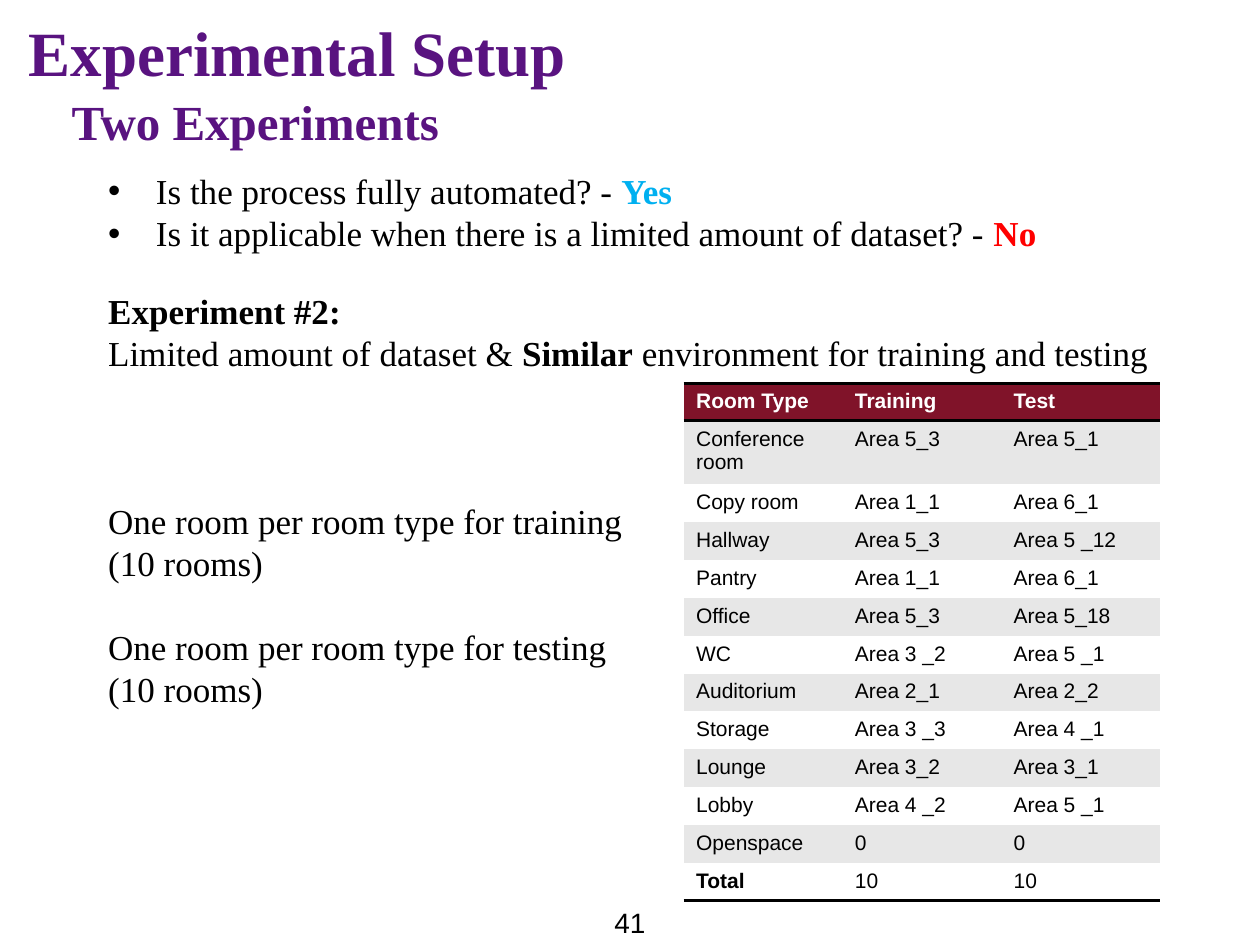
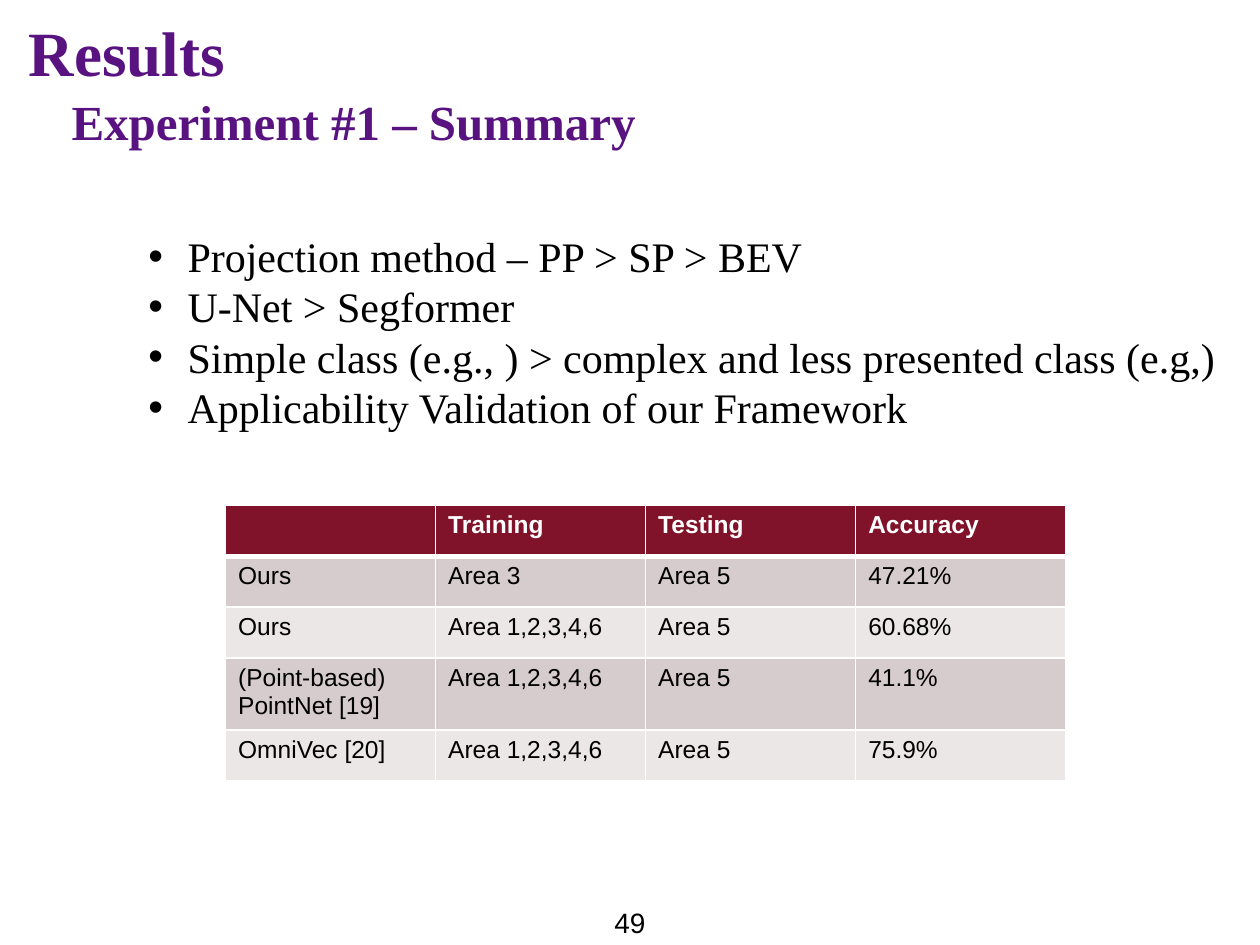
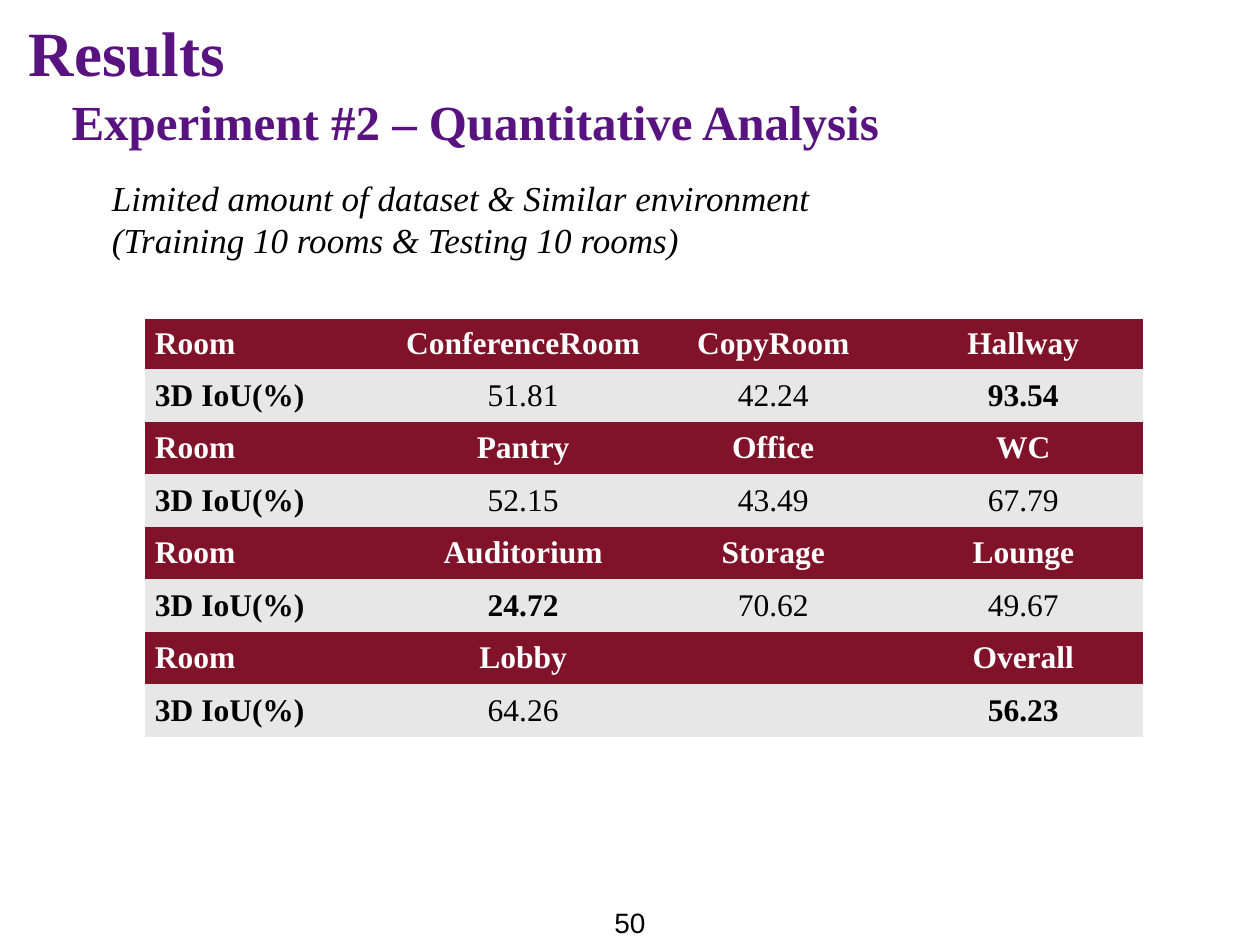
from dataclasses import dataclass

from pptx import Presentation
from pptx.dml.color import RGBColor
from pptx.enum.text import MSO_ANCHOR, PP_ALIGN
from pptx.oxml.ns import qn
from pptx.slide import Slide
from pptx.table import _Cell
from pptx.text.text import TextFrame
from pptx.util import Inches, Pt
from lxml import etree

LEFT, CENTER = PP_ALIGN.LEFT, PP_ALIGN.CENTER
TOP, MIDDLE = MSO_ANCHOR.TOP, MSO_ANCHOR.MIDDLE

SLIDE_WIDTH, SLIDE_HEIGHT = Inches(10), Inches(7.5)
GRID_COLUMNS, GRID_ROWS = 100, 75
SERIF, SANS = "Times New Roman", "Arial"
PLAIN_TABLE_STYLE = "{2D5ABB26-0587-4C30-8999-92F81FD0307C}"
COLORS = {
    "purple": "591380",
    "maroon": "801329",
    "ink": "000000",
    "white": "FFFFFF",
    "gray": "E7E7E7",
    "rose": "D7CCCD",
    "pale rose": "ECE7E7",
    "yes": "00B0F0",
    "no": "FF0000",
}


@dataclass(frozen=True)
class Area:
    column: float
    row: float
    columns: float
    rows: float


@dataclass(frozen=True)
class Run:
    text: str
    bold: bool = False
    color: str | None = None


@dataclass(frozen=True)
class Line:
    runs: tuple[Run, ...]
    space_before: float = 0


@dataclass(frozen=True)
class TableStyle:
    font: str
    size: float
    bands: tuple[str, str]
    align: PP_ALIGN = LEFT
    anchor: MSO_ANCHOR = TOP
    margins: tuple[float, float, float, float] = (0.1, 0.05, 0.1, 0.05)


@dataclass(frozen=True)
class Border:
    sides: str
    color: str
    width: float


TITLE_AREA = Area(1.3, 0.6, 87.4, 5.8)
SUBTITLE_AREA = Area(4.7, 6.8, 87.4, 5.8)
PAGE_AREA = Area(43.7, 71.4, 12.6, 3.6)


def x(columns: float) -> int:
    return round(SLIDE_WIDTH * columns / GRID_COLUMNS)


def y(rows: float) -> int:
    return round(SLIDE_HEIGHT * rows / GRID_ROWS)


def rgb(name: str) -> RGBColor:
    return RGBColor.from_string(COLORS[name])


def plain(text: str, space_before: float = 0) -> Line:
    return Line((Run(text),), space_before)


def write(frame: TextFrame, lines: list[Line], *, font: str = SERIF,
          size: float = 20, color: str = "ink", bold: bool = False,
          italic: bool = False, align: PP_ALIGN = LEFT,
          bullet_indent: float = 0) -> None:
    frame.word_wrap = True
    for index, line in enumerate(lines):
        paragraph = frame.paragraphs[0] if index == 0 else frame.add_paragraph()
        paragraph.alignment = align
        if line.space_before:
            paragraph.space_before = Pt(line.space_before)
        if bullet_indent:
            properties = paragraph._p.get_or_add_pPr()
            properties.set("marL", str(Inches(bullet_indent)))
            properties.set("indent", str(-Inches(bullet_indent)))
            etree.SubElement(properties, qn("a:buFont"), typeface=SANS)
            etree.SubElement(properties, qn("a:buChar"), char="•")
        for part in line.runs:
            run = paragraph.add_run()
            run.text = part.text
            run.font.name = font
            run.font.size = Pt(size)
            run.font.bold = bold or part.bold
            run.font.italic = italic
            run.font.color.rgb = rgb(part.color or color)


def add_text(slide: Slide, area: Area, lines: list[Line], **text_format) -> None:
    box = slide.shapes.add_textbox(x(area.column), y(area.row),
                                   x(area.columns), y(area.rows))
    write(box.text_frame, lines, **text_format)


def add_page(deck: Presentation, title: str, subtitle: str, number: int) -> Slide:
    slide = deck.slides.add_slide(deck.slide_layouts[6])
    add_text(slide, PAGE_AREA, [plain(str(number))], font=SANS, size=16, align=CENTER)
    add_text(slide, TITLE_AREA, [plain(title)], size=36, color="purple", bold=True)
    add_text(slide, SUBTITLE_AREA, [plain(subtitle)], size=28, color="purple", bold=True)
    return slide


def draw_borders(cell: _Cell, borders: list[Border]) -> None:
    properties = cell._tc.get_or_add_tcPr()
    for side in "LRTB":
        for border in borders:
            if side in border.sides:
                edge = etree.SubElement(properties, qn(f"a:ln{side}"),
                                        w=str(Pt(border.width)))
                fill = etree.SubElement(edge, qn("a:solidFill"))
                etree.SubElement(fill, qn("a:srgbClr"), val=COLORS[border.color])


def add_table(slide: Slide, column: float, row: float, widths: list[float],
              heights: list[float], records: list[tuple[str, ...]],
              style: TableStyle, *, header_rows: set[int],
              bold_texts: set[str],
              borders: dict[int, list[Border]]) -> None:
    frame = slide.shapes.add_table(len(records), len(widths), x(column), y(row),
                                   x(sum(widths)), y(sum(heights)))
    table = frame.table
    table.first_row = table.horz_banding = False
    table._tbl.tblPr.find(qn("a:tableStyleId")).text = PLAIN_TABLE_STYLE
    for table_column, width in zip(table.columns, widths):
        table_column.width = x(width)
    for table_row, height in zip(table.rows, heights):
        table_row.height = y(height)
    for row_index, record in enumerate(records):
        is_header = row_index in header_rows
        background = "maroon" if is_header else style.bands[(row_index + 1) % 2]
        for column_index, text in enumerate(record):
            cell = table.cell(row_index, column_index)
            draw_borders(cell, borders.get(row_index, []))
            cell.fill.solid()
            cell.fill.fore_color.rgb = rgb(background)
            cell.vertical_anchor = style.anchor
            (cell.margin_left, cell.margin_top,
             cell.margin_right, cell.margin_bottom) = map(Inches, style.margins)
            if text:
                write(cell.text_frame, [plain(text)], font=style.font,
                      size=style.size, color="white" if is_header else "ink",
                      bold=is_header or text in bold_texts,
                      align=style.align if column_index else LEFT)


def build_setup(deck: Presentation) -> None:
    slide = add_page(deck, "Experimental Setup", "Two Experiments", 41)
    add_text(slide, Area(7.6, 13, 77.7, 7.6), [
        Line((Run("Is the process fully automated? - "), Run("Yes", True, "yes"))),
        Line((Run("Is it applicable when there is a limited amount of dataset? - "),
              Run("No", True, "no"))),
    ], bullet_indent=0.38)
    add_text(slide, Area(7.6, 22.5, 90.9, 46.7), [
        Line((Run("Experiment #2:", True),)),
        Line((Run("Limited amount of dataset & "), Run("Similar", True),
              Run(" environment for training and testing"))),
        plain("One room per room type for training", 72),
        plain("(10 rooms)"),
        plain("One room per room type for testing", 24),
        plain("(10 rooms)"),
    ])
    rooms = [
        ("Room Type", "Training", "Test"),
        ("Conference room", "Area 5_3", "Area 5_1"),
        ("Copy room", "Area 1_1", "Area 6_1"),
        ("Hallway", "Area 5_3", "Area 5 _12"),
        ("Pantry", "Area 1_1", "Area 6_1"),
        ("Office", "Area 5_3", "Area 5_18"),
        ("WC", "Area 3 _2", "Area 5 _1"),
        ("Auditorium", "Area 2_1", "Area 2_2"),
        ("Storage", "Area 3 _3", "Area 4 _1"),
        ("Lounge", "Area 3_2", "Area 3_1"),
        ("Lobby", "Area 4 _2", "Area 5 _1"),
        ("Openspace", "0", "0"),
        ("Total", "10", "10"),
    ]
    add_table(slide, 54.25, 30.4, [12.6] * 3, [3.01] * len(rooms), rooms,
              TableStyle(SANS, 12, ("gray", "white")),
              header_rows={0}, bold_texts={"Total"},
              borders={0: [Border("TB", "ink", 2)],
                       len(rooms) - 1: [Border("B", "ink", 2)]})


def build_summary(deck: Presentation) -> None:
    slide = add_page(deck, "Results", "Experiment #1 – Summary", 49)
    findings = [
        "Projection method – PP > SP > BEV",
        "U-Net > Segformer",
        "Simple class (e.g., ) > complex and less presented class (e.g,)",
        "Applicability Validation of our Framework",
    ]
    add_text(slide, Area(10.8, 17.8, 86.9, 27), [plain(text) for text in findings],
             size=24, bullet_indent=0.31)
    accuracies = [
        ("", "Training", "Testing", "Accuracy"),
        ("Ours", "Area 3", "Area 5", "47.21%"),
        ("Ours", "Area 1,2,3,4,6", "Area 5", "60.68%"),
        ("(Point-based) PointNet [19]", "Area 1,2,3,4,6", "Area 5", "41.1%"),
        ("OmniVec [20]", "Area 1,2,3,4,6", "Area 5", "75.9%"),
    ]
    borders = {index: [Border("LRTB", "white", 1)] for index in range(2, len(accuracies))}
    borders[0] = [Border("LRT", "white", 1), Border("B", "white", 3)]
    borders[1] = [Border("LRB", "white", 1), Border("T", "white", 3)]
    add_table(slide, 17.9, 40.1, [16.67] * 4, [4.05, 4.05, 4.05, 5.7, 4.05],
              accuracies, TableStyle(SANS, 14, ("rose", "pale rose")),
              header_rows={0}, bold_texts=set(), borders=borders)


def build_analysis(deck: Presentation) -> None:
    slide = add_page(deck, "Results", "Experiment #2 – Quantitative Analysis", 50)
    add_text(slide, Area(7.9, 13.5, 86.4, 7.6), [
        plain("Limited amount of dataset & Similar environment"),
        plain("(Training 10 rooms & Testing 10 rooms)"),
    ], italic=True)
    scores = [
        (("ConferenceRoom", "CopyRoom", "Hallway"), ("51.81", "42.24", "93.54")),
        (("Pantry", "Office", "WC"), ("52.15", "43.49", "67.79")),
        (("Auditorium", "Storage", "Lounge"), ("24.72", "70.62", "49.67")),
        (("Lobby", "", "Overall"), ("64.26", "", "56.23")),
    ]
    records = []
    for rooms, values in scores:
        records += [("Room", *rooms), ("3D IoU(%)", *values)]
    add_table(slide, 11.5, 25.3, [19.7] + [19.85] * 3,
              [4] + [4.17] * (len(records) - 1), records,
              TableStyle(SERIF, 18, ("gray", "gray"), CENTER, MIDDLE, (0.08, 0, 0, 0)),
              header_rows=set(range(0, len(records), 2)),
              bold_texts={"3D IoU(%)", "93.54", "24.72", "56.23"}, borders={})


def main() -> None:
    deck = Presentation()
    deck.slide_width, deck.slide_height = SLIDE_WIDTH, SLIDE_HEIGHT
    build_setup(deck)
    build_summary(deck)
    build_analysis(deck)
    deck.save("out.pptx")


if __name__ == "__main__":
    main()
